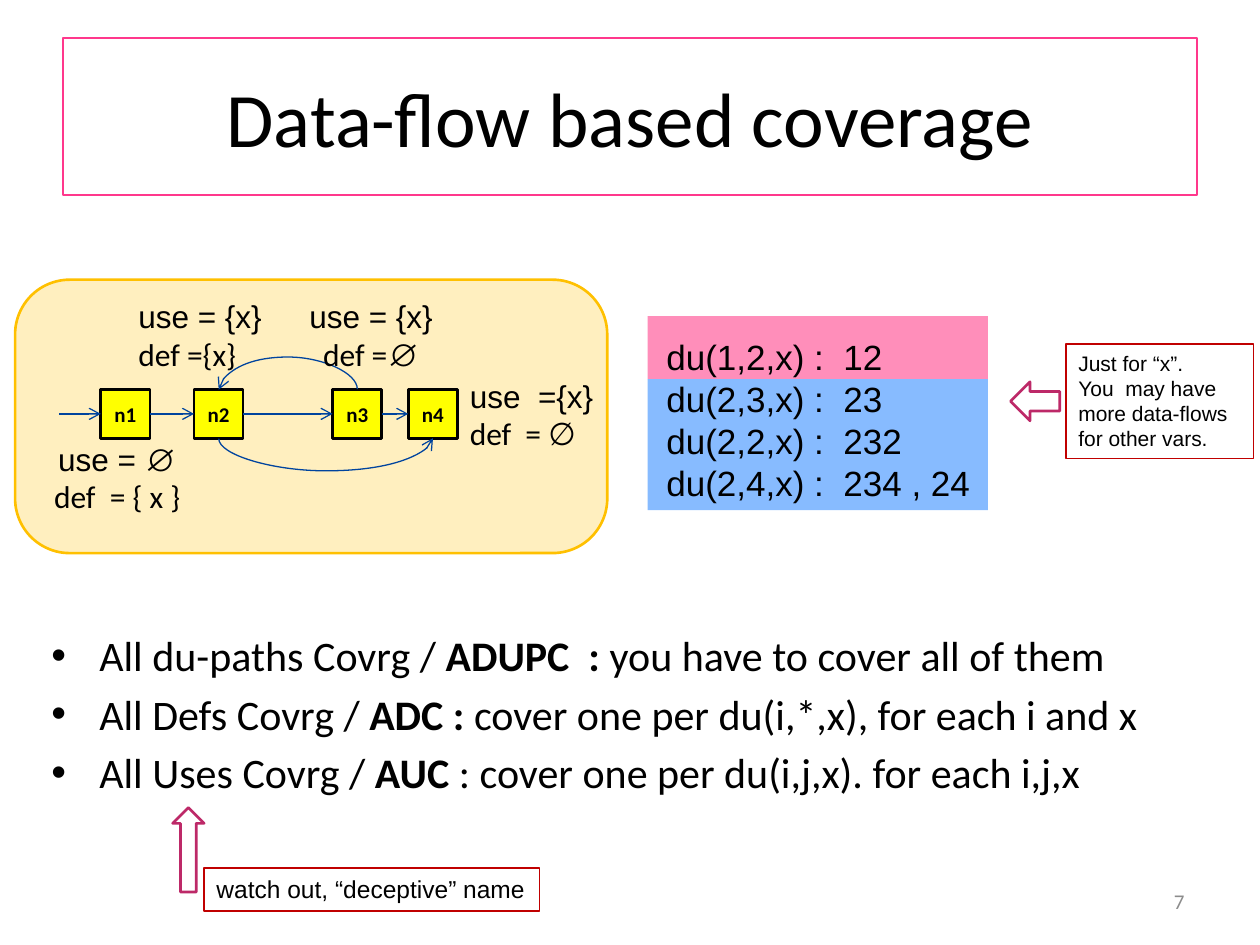
from lxml.etree import SubElement as Sub
from pptx import Presentation
from pptx.dml.color import RGBColor as Rgb
from pptx.enum.shapes import MSO_CONNECTOR as Link, MSO_SHAPE as Form
from pptx.enum.text import MSO_ANCHOR as Anchor, MSO_AUTO_SIZE as Fit, PP_ALIGN as Align
from pptx.oxml.ns import qn
from pptx.util import Inches, Pt

INK = {
    "black": "000000", "gray": "8C8C8C", "rose": "FF388C", "pink": "FF8EBA",
    "sky": "87BBFF", "gold": "FFC000", "lemon": "FFFF00", "navy": "00449E",
    "red": "C00000", "plum": "BD2968",
}
COLS, ROWS = 100, 75
CELL = Inches(10) // COLS
NODE, MID = 3.9, 32.85
NODES = {"n1": 8, "n2": 15.4, "n3": 26.4, "n4": 32.4}
BEND, THIN = 72, Pt(0.25)


def grid(*cells):
    """Turn grid cells into slide lengths."""
    return [round(n * CELL) for n in cells]


def tint(name):
    """Look up a named colour."""
    return Rgb.from_string(INK[name])


def shape(slide, form, area, fill=None, line=None, width=1.5):
    """Add a preset shape with a plain fill and outline."""
    item = slide.shapes.add_shape(form, *grid(*area))
    item.shadow.inherit = False
    if fill:
        item.fill.solid()
        item.fill.fore_color.rgb = tint(fill)
    else:
        item.fill.background()
    if line:
        item.line.color.rgb = tint(line)
        item.line.width = Pt(width)
    else:
        item.line.fill.background()
    return item


def write(item, lines, size, align=Align.LEFT, anchor=Anchor.TOP,
          wrap=True, grow=False, color="black", font="Calibri"):
    """Fill a shape with lines made of (text, font, bold) runs."""
    frame = item.text_frame
    frame.word_wrap = wrap
    frame.vertical_anchor = anchor
    frame.auto_size = Fit.SHAPE_TO_FIT_TEXT if grow else Fit.NONE
    for i, line in enumerate(lines):
        para = frame.add_paragraph() if i else frame.paragraphs[0]
        para.alignment = align
        for part in [(line,)] if isinstance(line, str) else line:
            run = para.add_run()
            run.text = part[0]
            run.font.name = part[1] if len(part) > 1 else font
            run.font.bold = len(part) > 2
            run.font.size = Pt(size)
            run.font.color.rgb = tint(color)


def label(slide, area, lines, size, **style):
    """Add a text box."""
    write(slide.shapes.add_textbox(*grid(*area)), lines, size, **style)


def arrow(slide, kind, ends):
    """Add a thin connector with an open arrowhead."""
    item = slide.shapes.add_connector(kind, *ends)
    item.line.color.rgb = tint("navy")
    item.line.width = Pt(0.75)
    Sub(item.line._get_or_add_ln(), qn("a:tailEnd"), type="arrow")
    Sub(item._element.spPr, qn("a:effectLst"))
    return item


def arc(slide, left, right, row, turn):
    """Add a curved arrow that bulges up at 270 degrees or down at 90."""
    x, y, half = grid((left + right) / 2, row, (right - left) / 2)
    item = arrow(slide, Link.CURVE, (x + THIN, y + half, x, y - half))
    props = item._element.spPr
    props.find(qn("a:xfrm")).set("rot", str(turn * 60000))
    geom = props.find(qn("a:prstGeom"))
    guides = geom.find(qn("a:avLst"))
    if guides is None:
        guides = Sub(geom, qn("a:avLst"))
    Sub(guides, qn("a:gd"), name="adj1", fmla=f"val {-BEND * 100000}")


def graph(slide):
    """Draw the flow graph with its use and def sets."""
    for name, left in NODES.items():
        box = shape(slide, Form.RECTANGLE, (left, MID - NODE / 2, NODE, NODE), "lemon", "black")
        write(box, [[(name, "Calibri", True)]], 12, Align.CENTER, Anchor.MIDDLE, wrap=False)
    lefts = list(NODES.values())
    starts = [4.7] + [left + NODE for left in lefts[:-1]]
    for start, end in zip(starts, lefts):
        arrow(slide, Link.STRAIGHT, grid(start, MID, end, MID))
    mids = {name: left + NODE / 2 for name, left in NODES.items()}
    arc(slide, mids["n2"], mids["n3"], MID - NODE / 2, 270)
    arc(slide, mids["n2"], mids["n4"], MID + NODE / 2, 90)
    sets = [
        (3.2, 34.4, 12.2, "use = ∅", [("def  = { x }",)], Align.CENTER),
        (10, 23.1, 11.9, "use = {x}", [("def ={x}",)], Align.LEFT),
        (23.5, 23.1, 11.9, "use = {x}", [("def =",), ("∅", "Arial")], Align.CENTER),
        (36.3, 29.4, 11.9, "use  ={x}", [("def  = ∅",)], Align.LEFT),
    ]
    for left, top, width, use, define, align in sets:
        label(slide, (left, top, width, 7.1), [[(use, "Arial")], define], 18,
              align=align, wrap=False, grow=True)


def points(slide, area, lines):
    """Add the bulleted list."""
    box = slide.shapes.add_textbox(*grid(*area))
    write(box, lines, 24)
    for i, para in enumerate(box.text_frame.paragraphs):
        props = para._p.get_or_add_pPr()
        props.set("marL", str(Inches(0.38)))
        props.set("indent", str(-Inches(0.38)))
        Sub(props, qn("a:buFont"), typeface="Arial")
        Sub(props, qn("a:buChar"), char="•")
        if i:
            para.space_before = Pt(4.5)


def main():
    """Build and save the slide."""
    deck = Presentation()
    deck.slide_width, deck.slide_height = grid(COLS, ROWS)
    slide = deck.slides.add_slide(deck.slide_layouts[6])
    shape(slide, Form.RECTANGLE, (51.4, 25.1, 27, 5), "pink")
    shape(slide, Form.RECTANGLE, (51.4, 30.1, 27, 10.4), "sky")
    panel = shape(slide, Form.ROUNDED_RECTANGLE, (1.2, 22.2, 47, 21.7), "gold", "gold")
    panel.adjustments[0] = 0.2
    shade = panel._element.spPr.find(qn("a:solidFill"))[0]
    Sub(shade, qn("a:alpha"), val="25000")
    title = shape(slide, Form.RECTANGLE, (5, 3, 90, 12.5), None, "rose", 1)
    write(title, ["Data-flow based coverage"], 44, Align.CENTER, Anchor.MIDDLE)
    points(slide, (3.1, 49.5, 92.2, 18.8), [
        [("All du-paths Covrg / ",), ("ADUPC  : ", "Calibri", True),
         ("you have to cover all of them",)],
        [("All Defs Covrg / ",), ("ADC : ", "Calibri", True),
         ("cover one per du(i,*,x), for each i and x",)],
        [("All Uses Covrg / ",), ("AUC ", "Calibri", True),
         (": cover one per du(i,j,x). for each i,j,x",)],
    ])
    label(slide, (71.7, 69.5, 23.3, 4), ["7"], 12,
          align=Align.RIGHT, anchor=Anchor.MIDDLE, color="gray")
    paths = ["du(1,2,x) :  12", "du(2,3,x) :  23", "du(2,2,x) :  232", "du(2,4,x) :  234 , 24"]
    label(slide, (51.9, 26.1, 27, 14.5), paths, 20, wrap=False, grow=True, font="Arial")
    graph(slide)
    note = shape(slide, Form.RECTANGLE, (84.6, 27.3, 14.9, 9.1), None, "red", 0.75)
    write(note, ["Just for “x”.", "You  may have more data-flows for other vars."], 12,
          grow=True, font="Arial")
    shape(slide, Form.LEFT_ARROW, (80.2, 30.3, 3.9, 3.1), None, "plum")
    hint = shape(slide, Form.RECTANGLE, (16.2, 68.9, 26.6, 3.4), None, "red", 0.75)
    write(hint, ["watch out, “deceptive” name"], 14, wrap=False, grow=True, font="Arial")
    shape(slide, Form.UP_ARROW, (13.7, 64.1, 2.5, 6.7), None, "plum")
    deck.save("out.pptx")


if __name__ == "__main__":
    main()
